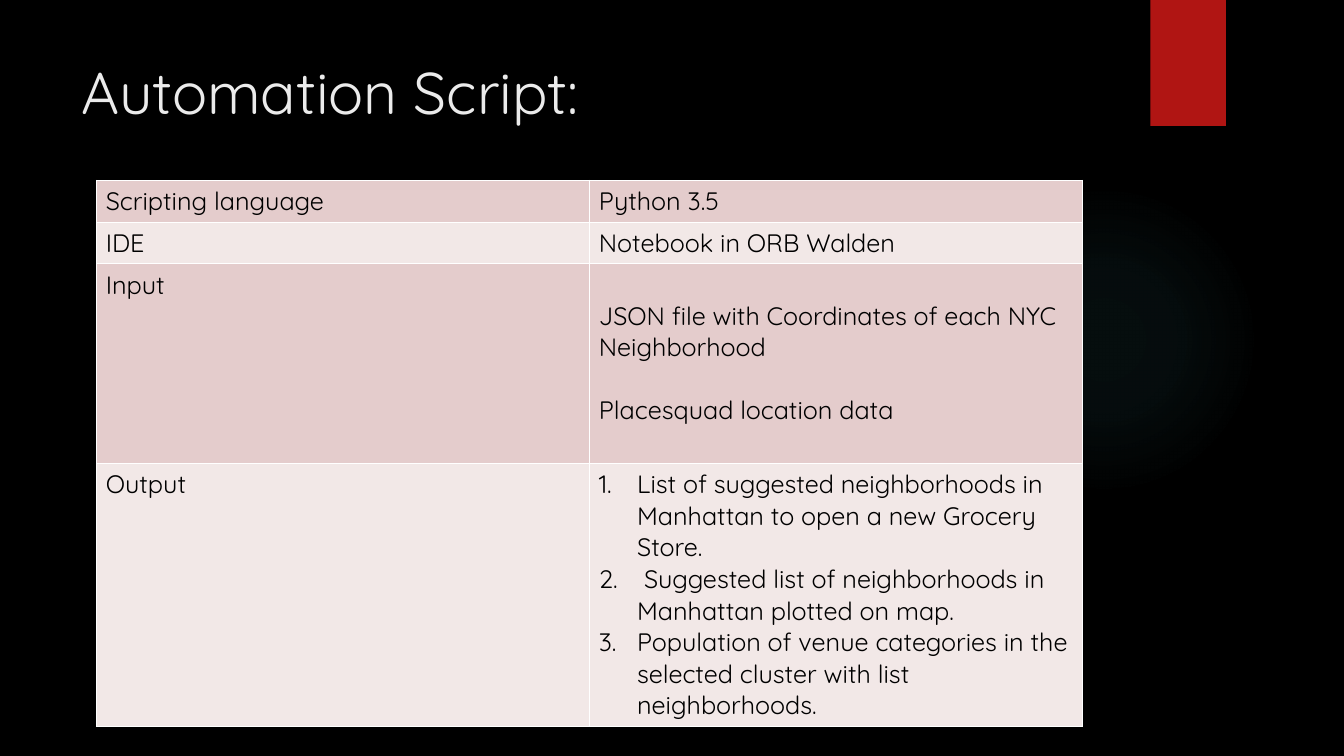
from pptx import Presentation
from pptx.dml.color import RGBColor
from pptx.enum.shapes import MSO_SHAPE
from pptx.enum.text import MSO_ANCHOR, PP_ALIGN
from pptx.oxml import parse_xml
from pptx.oxml.ns import nsdecls
from pptx.util import Inches, Pt

BLACK = RGBColor(0x00, 0x00, 0x00)
PALE = RGBColor(0xEB, 0xEB, 0xEB)
RED = RGBColor(0xB0, 0x15, 0x13)
TEAL = RGBColor(0x50, 0xB9, 0xC1)
WHITE = RGBColor(0xFF, 0xFF, 0xFF)
BANDS = [RGBColor(0xE4, 0xCC, 0xCC), RGBColor(0xF2, 0xE8, 0xE7)]
LINE = 0.31


class Deck:
    font = "Quicksand"
    size = 18

    def __init__(self, show):
        self.slide = show.slides.add_slide(show.slide_layouts[5])
        back = self.slide.background.fill
        back.solid()
        back.fore_color.rgb = BLACK

    def style(self, par, size, color):
        for run in par.runs:
            run.font.name = self.font
            run.font.size = Pt(size)
            run.font.color.rgb = color

    def shape(self, kind, *box):
        item = self.slide.shapes.add_shape(kind, *map(Inches, box))
        item.shadow.inherit = False
        item.line.fill.background()
        return item

    def block(self, color, *box):
        item = self.shape(MSO_SHAPE.RECTANGLE, *box)
        item.fill.solid()
        item.fill.fore_color.rgb = color

    def glow(self, color, stops, *box):
        item = self.shape(MSO_SHAPE.OVAL, *box)
        marks = "".join(
            f'<a:gs pos="{pos * 1000}"><a:srgbClr val="{color}">'
            f'<a:alpha val="{alpha * 1000}"/></a:srgbClr></a:gs>'
            for pos, alpha in stops)
        item._element.spPr.insert(2, parse_xml(
            f'<a:gradFill {nsdecls("a")}><a:gsLst>{marks}</a:gsLst>'
            '<a:path path="circle"><a:fillToRect l="50000" t="50000" '
            'r="50000" b="50000"/></a:path></a:gradFill>'))

    def title(self, text, *box):
        item = self.slide.shapes.title
        item.left, item.top, item.width, item.height = map(Inches, box)
        frame = item.text_frame
        frame.text = text
        frame.word_wrap = True
        frame.vertical_anchor = MSO_ANCHOR.TOP
        par = frame.paragraphs[0]
        par.alignment = PP_ALIGN.LEFT
        self.style(par, 42, PALE)

    def number(self, par):
        props = par._p.get_or_add_pPr()
        props.set("marL", str(Inches(0.38)))
        props.set("indent", str(Inches(-0.38)))
        props.append(parse_xml(
            f'<a:buFont {nsdecls("a")} typeface="+mj-lt"/>'))
        props.append(parse_xml(
            f'<a:buAutoNum {nsdecls("a")} type="arabicPeriod"/>'))

    def border(self, cell):
        props = cell._tc.get_or_add_tcPr()
        for side in "LRTB":
            props.append(parse_xml(
                f'<a:ln{side} {nsdecls("a")} w="{Pt(1)}"><a:solidFill>'
                f'<a:srgbClr val="{WHITE}"/></a:solidFill></a:ln{side}>'))

    def cell(self, cell, text, color):
        cell.margin_left = cell.margin_right = Inches(0.09)
        cell.margin_top = cell.margin_bottom = Inches(0.05)
        self.border(cell)
        cell.fill.solid()
        cell.fill.fore_color.rgb = color
        cell.text_frame.text = text
        for par in cell.text_frame.paragraphs:
            self.style(par, self.size, BLACK)

    def table(self, rows, tall, *box):
        grid = self.slide.shapes.add_table(
            len(rows), len(rows[0]), *map(Inches, box)).table
        grid.first_row = grid.horz_banding = False
        for i, row in enumerate(rows):
            grid.rows[i].height = Inches(tall[i])
            for j, text in enumerate(row):
                self.cell(grid.cell(i, j), text, BANDS[i % 2])
        return grid


ROWS = [
    ("Scripting language", "Python 3.5"),
    ("IDE", "Notebook in ORB Walden"),
    ("Input", "JSON file with Coordinates of each NYC Neighborhood\n"
              "Placesquad location data"),
    ("Output", "List of suggested neighborhoods in Manhattan to open "
               "a new Grocery Store.\n"
               " Suggested list of neighborhoods in Manhattan plotted on map.\n"
               "Population of venue categories in the selected cluster "
               "with list neighborhoods."),
]

show = Presentation()
show.slide_width, show.slide_height = Inches(13.33), Inches(7.5)
deck = Deck(show)
deck.glow(TEAL, [(0, 7), (36, 6), (69, 0)], 9.41, 1.83, 3.08, 3.08)
deck.block(RED, 11.41, 0, 0.75, 1.25)
deck.title("Automation Script:", 0.71, 0.5, 10.29, 1.53)
grid = deck.table(ROWS, [0.41, 0.41, 1.98, 2.61], 0.96, 1.79, 9.78, 5.41)

source = grid.cell(2, 1)
source.margin_top = Inches(0.05 + LINE)
source.text_frame.paragraphs[1].space_before = Inches(LINE)
for par in grid.cell(3, 1).text_frame.paragraphs:
    deck.number(par)

show.save("out.pptx")
